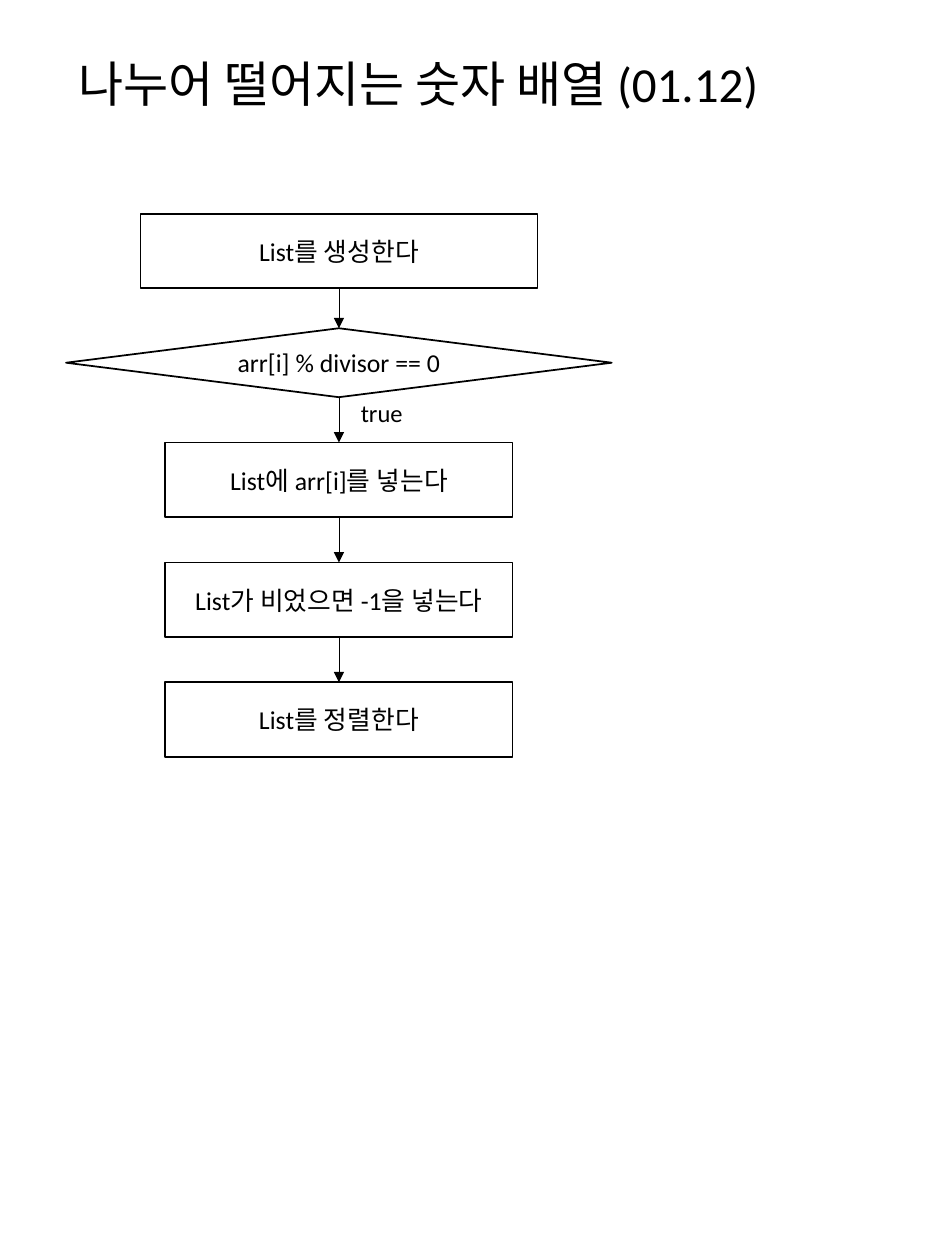
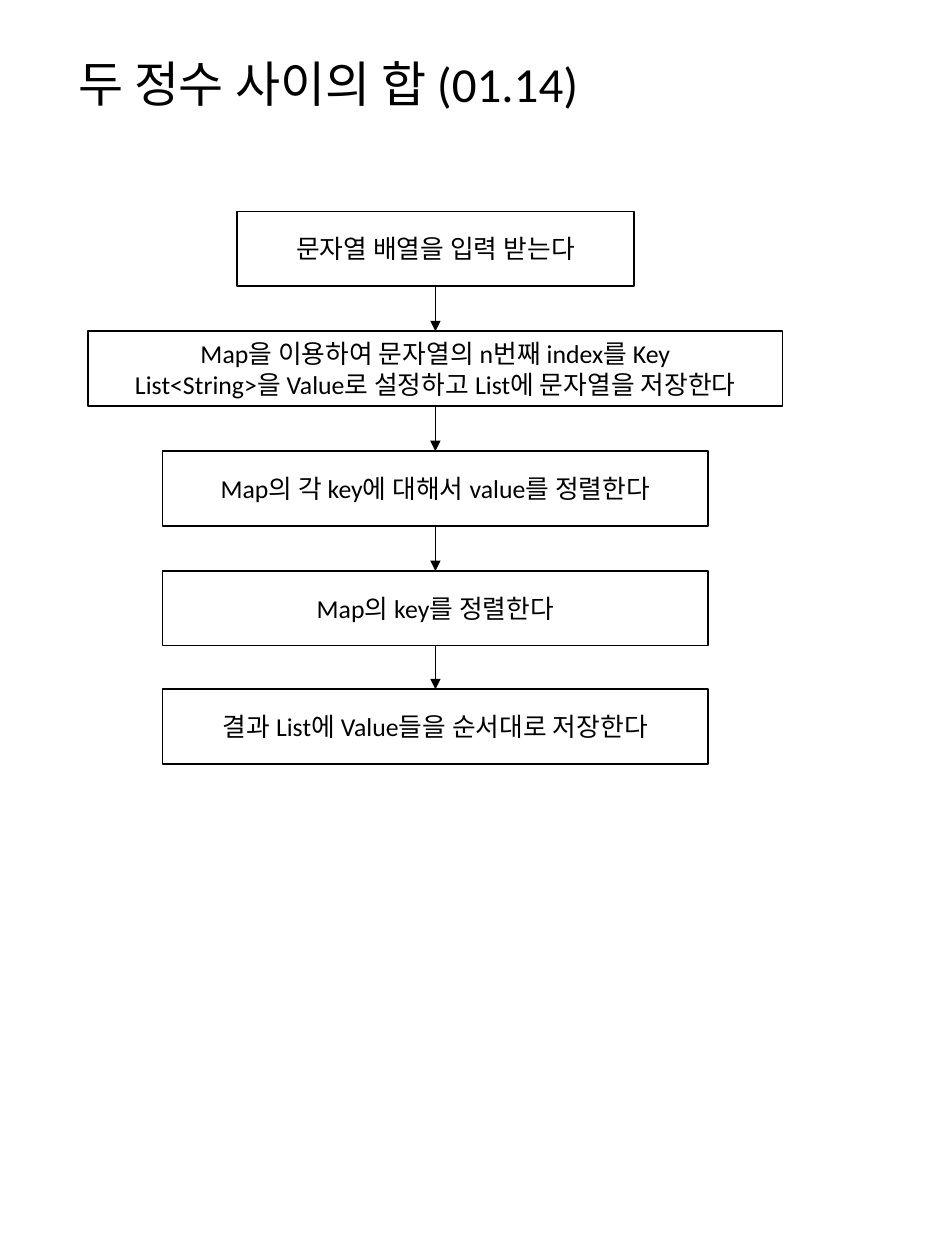
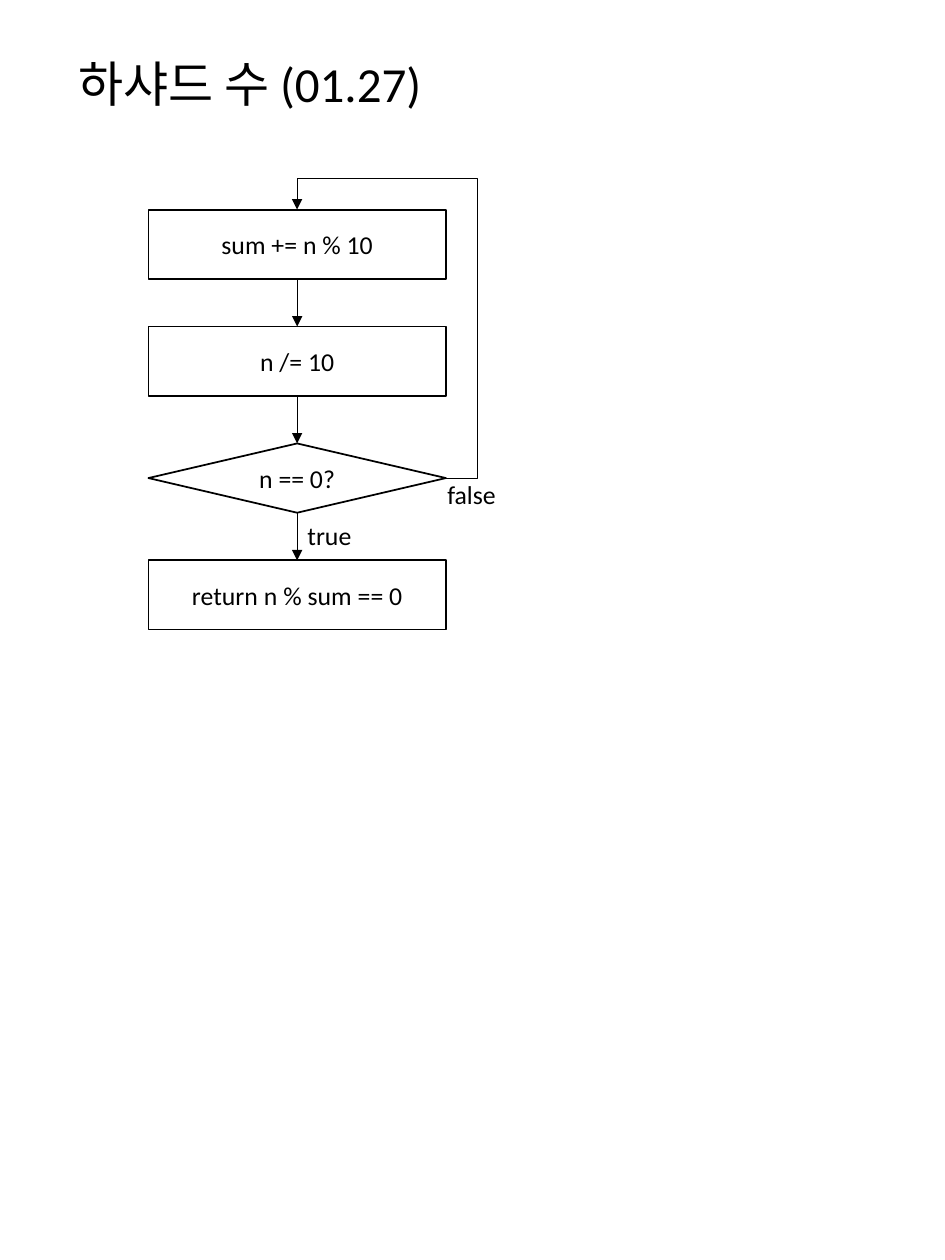
"""Builds three flowchart slides of coding exercises."""
from dataclasses import dataclass

from lxml import etree
from pptx import Presentation
from pptx.dml.color import RGBColor
from pptx.enum.shapes import MSO_CONNECTOR, MSO_SHAPE
from pptx.enum.text import MSO_ANCHOR, MSO_AUTO_SIZE, PP_ALIGN
from pptx.oxml.ns import qn
from pptx.util import Pt

RECT, RHOMB = MSO_SHAPE.RECTANGLE, MSO_SHAPE.DIAMOND
LINE, ELBOW = MSO_CONNECTOR.STRAIGHT, MSO_CONNECTOR.ELBOW
LEFT, MID = PP_ALIGN.LEFT, PP_ALIGN.CENTER
CENTRE, NOFIT, GROW = MSO_ANCHOR.MIDDLE, MSO_AUTO_SIZE.NONE, MSO_AUTO_SIZE.SHAPE_TO_FIT_TEXT
TOP, FOOT, RIGHT = 0, 2, 3


@dataclass(frozen=True)
class Theme:
    """Colours, font, type sizes and line widths of the deck."""
    ink: RGBColor = RGBColor(0, 0, 0)
    font: str = "Calibri"
    title: float = 28
    body: float = 14.7
    small: float = 14
    edge: float = 1
    flow: float = 0.5
    inset: float = 3.6


@dataclass(frozen=True)
class Step:
    """One box of a chart, with the gap that follows it."""
    text: str
    wide: float
    high: float = 42.6
    gap: float = 25.9
    kind: int = RECT


THEME = Theme()


def write(frame, text, size, align):
    """Fill a frame with one paragraph per line."""
    for i, line in enumerate(text.split("\n")):
        para = frame.add_paragraph() if i else frame.paragraphs[0]
        para.alignment = align
        run = para.add_run()
        run.text = line
        run.font.size = Pt(size)
        run.font.name = THEME.font
        run.font.color.rgb = THEME.ink


def head(slide, text):
    """Place and fill the title."""
    title = slide.shapes.title
    title.left, title.top, title.width, title.height = Pt(37.4), Pt(27.4), Pt(465.8), Pt(43.9)
    frame = title.text_frame
    frame.auto_size = NOFIT
    frame.vertical_anchor = CENTRE
    write(frame, text, THEME.title, LEFT)
    frame.paragraphs[0].line_spacing = 0.9


def node(slide, step, mid, top):
    """Draw one step centred on mid."""
    shape = slide.shapes.add_shape(
        step.kind, Pt(mid - step.wide / 2), Pt(top), Pt(step.wide), Pt(step.high))
    shape.shadow.inherit = False
    shape.fill.background()
    shape.line.color.rgb = THEME.ink
    shape.line.width = Pt(THEME.edge)
    shape.text_frame.vertical_anchor = CENTRE
    write(shape.text_frame, step.text, THEME.body, MID)
    return shape


def join(slide, start, end, out=FOOT, kind=LINE):
    """Link two steps with an arrow into the top of the second."""
    link = slide.shapes.add_connector(kind, 0, 0, 0, 0)
    link.begin_connect(start, out)
    link.end_connect(end, TOP)
    link.line.color.rgb = THEME.ink
    link.line.width = Pt(THEME.flow)
    etree.SubElement(link.line._get_or_add_ln(), qn("a:tailEnd"), type="triangle")
    etree.SubElement(link._element.spPr, qn("a:effectLst"))
    return link


def loop(slide, start, end):
    """Lead an arrow from the right of a step back over an earlier one."""
    link = join(slide, start, end, RIGHT, ELBOW)
    geom = link._element.spPr.find(qn("a:prstGeom"))
    geom.set("prst", "bentConnector4")
    guides = geom.find(qn("a:avLst"))
    for name, val in (("adj1", -21200), ("adj2", 111700)):
        etree.SubElement(guides, qn("a:gd"), name=name, fmla=f"val {val}")


def label(slide, text, box, size=THEME.body, align=LEFT):
    """Name a branch of the chart."""
    frame = slide.shapes.add_textbox(*map(Pt, box)).text_frame
    frame.word_wrap = True
    frame.auto_size = GROW
    frame.margin_left = frame.margin_right = Pt(THEME.inset)
    frame.margin_top = frame.margin_bottom = Pt(THEME.inset)
    write(frame, text, size, align)


def chart(deck, title, mid, top, steps):
    """Add a slide with a titled column of linked steps."""
    slide = deck.slides.add_slide(deck.slide_layouts[5])
    head(slide, title)
    nodes = []
    for step in steps:
        nodes.append(node(slide, step, mid, top))
        top += step.high + step.gap
    for start, end in zip(nodes, nodes[1:]):
        join(slide, start, end)
    return slide, nodes


def main():
    """Build and save the deck."""
    deck = Presentation()
    deck.slide_width, deck.slide_height = Pt(540), Pt(720)

    slide, _ = chart(deck, "나누어 떨어지는 숫자 배열 (01.12)", 193.7, 122.2, [
        Step("List를 생성한다", 226.8, gap=22.8),
        Step("arr[i] % divisor == 0", 311.8, high=39.4, kind=RHOMB),
        Step("List에 arr[i]를 넣는다", 198.6),
        Step("List가 비었으면 -1을 넣는다", 198.6),
        Step("List를 정렬한다", 198.6),
    ])
    label(slide, "true", (198.7, 223.9, 38.9, 24.5), THEME.small, MID)

    chart(deck, "두 정수 사이의 합 (01.14)", 248.8, 120.8, [
        Step("문자열 배열을 입력 받는다", 226.8),
        Step("Map을 이용하여 문자열의 n번째 index를 Key\n"
             "List<String>을 Value로 설정하고 List에 문자열을 저장한다", 396.8),
        Step("Map의 각 key에 대해서 value를 정렬한다", 311.8),
        Step("Map의 key를 정렬한다", 311.8, gap=25),
        Step("결과 List에 Value들을 순서대로 저장한다", 311.8),
    ])

    size = {"wide": 170, "high": 39.6, "gap": 27.2}
    slide, nodes = chart(deck, "하샤드 수 (01.27)", 169.8, 119.8, [
        Step("sum += n % 10", **size),
        Step("n /= 10", **size),
        Step("n == 0?", kind=RHOMB, **size),
        Step("return n % sum == 0", **size),
    ])
    loop(slide, nodes[2], nodes[0])
    label(slide, "false", (252, 270, 40.3, 25.2))
    label(slide, "true", (172.1, 293.3, 33.1, 25.2))

    deck.save("out.pptx")


if __name__ == "__main__":
    main()
